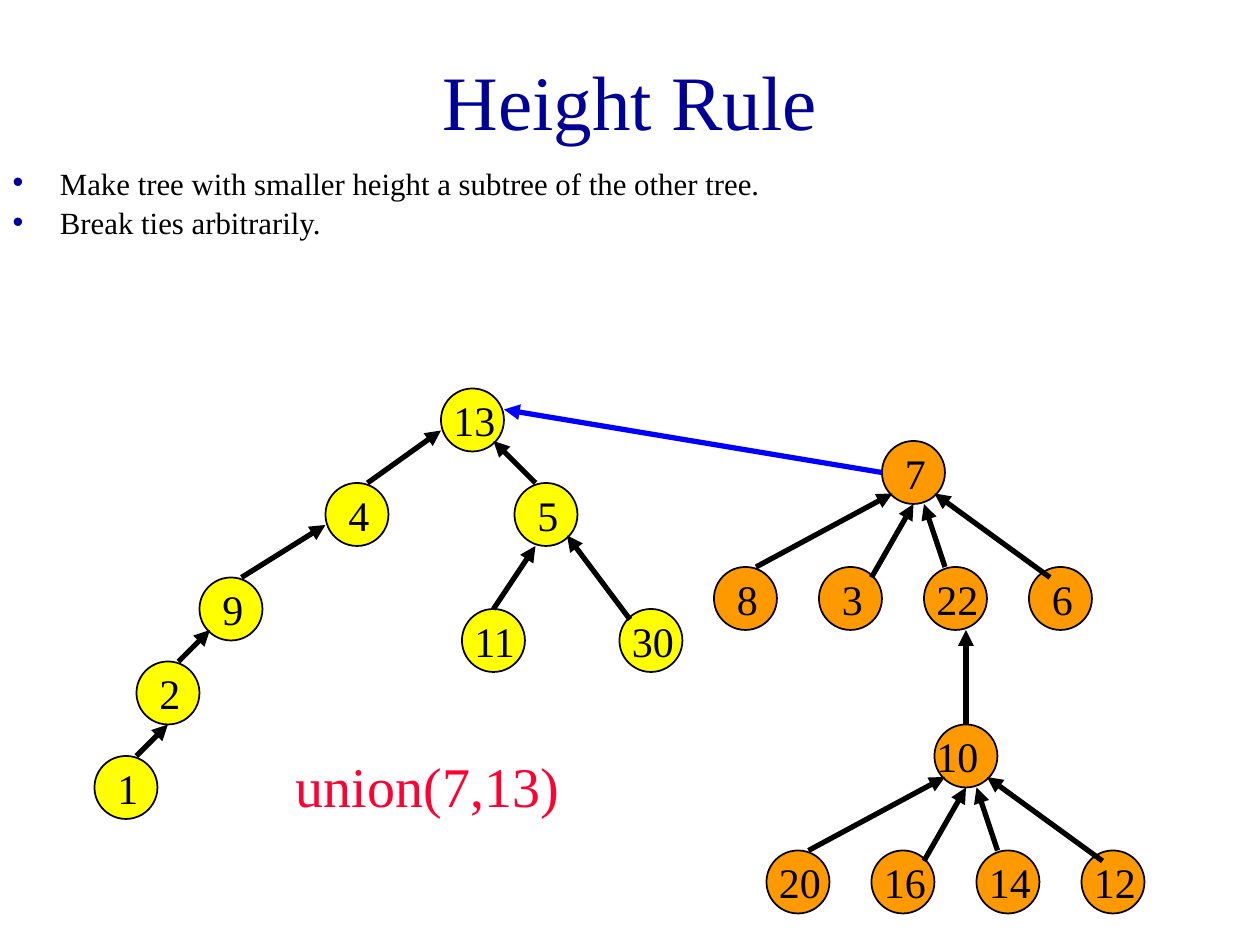
from dataclasses import dataclass

from lxml.etree import SubElement
from pptx import Presentation
from pptx.dml.color import RGBColor as RGB
from pptx.enum.shapes import MSO_CONNECTOR as CONNECTOR, MSO_SHAPE as SHAPE
from pptx.enum.text import MSO_ANCHOR as ANCHOR, MSO_AUTO_SIZE as AUTO_SIZE, PP_ALIGN as ALIGN
from pptx.oxml.ns import qn
from pptx.util import Inches, Pt

PX = Inches(1) // 96


@dataclass(frozen=True)
class Theme:
    font: str = "Times New Roman"
    navy: str = "000099"
    black: str = "000000"
    red: str = "FF0033"
    blue: str = "0000FF"
    yellow: str = "FFFF00"
    orange: str = "FF9900"
    title_size: float = 44
    rule_size: float = 17.6
    key_size: float = 24
    union_size: float = 32
    outline: float = 1
    arrow: float = 3


THEME = Theme()
NODE = 48  # circle diameter

# Left and top of each node, by key
LEFT_TREE = {13: (336, 296), 4: (248, 368), 5: (392, 368), 9: (152, 440),
             11: (352, 464), 30: (472, 464), 2: (104, 504), 1: (72, 576)}
RIGHT_ROOTS = {7: (672, 336), 10: (712, 552)}
FANS = {7: (8, 3, 22, 6), 10: (20, 16, 14, 12)}

# Parent, child, then the arrow's ends measured from each node's corner
LEFT_EDGES = [
    (13, 4, (0, 32), (32, 0)),
    (4, 9, (0, 32), (32, 0)),
    (13, 5, (40, 40), (16, 0)),
    (9, 2, (8, 40), (32, 0)),
    (5, 11, (16, 48), (24, 0)),
    (5, 30, (40, 40), (8, 8)),
    (2, 1, (24, 48), (32, 0)),
]
FAN_ENDS = [((8, 40), (32, 0)), ((24, 48), (40, 8)),
            ((32, 48), (16, 0)), ((40, 40), (16, 8))]
FAN_LEFT, FAN_STEP, FAN_DROP = -128, 80, 96


def box(*lengths):
    return [length * PX for length in lengths]


def style(paragraph, size, color):
    paragraph.font.name = THEME.font
    paragraph.font.size = Pt(size)
    paragraph.font.color.rgb = RGB.from_string(color)


def place(placeholder, bounds, anchor):
    placeholder.left, placeholder.top, placeholder.width, placeholder.height = box(*bounds)
    frame = placeholder.text_frame
    frame.auto_size = AUTO_SIZE.NONE
    frame.vertical_anchor = anchor
    return frame


def add_title(slide, text):
    frame = place(slide.shapes.title, (72, 16, 816, 120), ANCHOR.MIDDLE)
    frame.text = text
    heading = frame.paragraphs[0]
    heading.alignment = ALIGN.CENTER
    style(heading, THEME.title_size, THEME.navy)


def add_rules(slide, rules):
    frame = place(slide.placeholders[1], (0, 128, 936, 64), ANCHOR.TOP)
    frame.text = "\n".join(rules)
    for rule in frame.paragraphs:
        style(rule, THEME.rule_size, THEME.black)
        rule.line_spacing = 0.7
        rule.space_before = Pt(8)
        props = rule._p.get_or_add_pPr()
        props.set("marL", str(36 * PX))
        props.set("indent", str(-36 * PX))
        bullet_color = SubElement(props, qn("a:buClr"))
        SubElement(bullet_color, qn("a:srgbClr"), val=THEME.navy)
        SubElement(props, qn("a:buChar"), char="•")


def add_label(shapes, text, bounds, size, color):
    frame = shapes.add_textbox(*box(*bounds)).text_frame
    frame.word_wrap = True
    frame.text = text
    style(frame.paragraphs[0], size, color)


def add_node(shapes, key, corner, color):
    left, top = corner
    circle = shapes.add_shape(SHAPE.OVAL, *box(left, top, NODE, NODE))
    circle.shadow.inherit = False
    circle.fill.solid()
    circle.fill.fore_color.rgb = RGB.from_string(color)
    circle.line.color.rgb = RGB.from_string(THEME.black)
    circle.line.width = Pt(THEME.outline)
    # The key of 10 sits one step left of its circle
    shift, width = (8, 32) if key < 10 else (-8 if key == 10 else 0, 72)
    add_label(shapes, str(key), (left + shift, top, width, NODE),
              THEME.key_size, THEME.black)


def add_edge(shapes, nodes, edge, color=THEME.black):
    parent, child, parent_end, child_end = edge
    ends = [corner + offset
            for key, end in ((parent, parent_end), (child, child_end))
            for corner, offset in zip(nodes[key], end)]
    arrow = shapes.add_connector(CONNECTOR.STRAIGHT, *box(*ends))
    arrow.line.color.rgb = RGB.from_string(color)
    arrow.line.width = Pt(THEME.arrow)
    SubElement(arrow.line._get_or_add_ln(), qn("a:headEnd"), type="triangle")
    SubElement(arrow._element.spPr, qn("a:effectLst"))


def add_tree(slide, nodes, edges, color):
    shapes = slide.shapes.add_group_shape().shapes
    for key, corner in nodes.items():
        add_node(shapes, key, corner, color)
    for edge in edges:
        add_edge(shapes, nodes, edge)


def right_tree():
    nodes, edges = dict(RIGHT_ROOTS), [(22, 10, (32, 48), (24, 0))]
    for parent, children in FANS.items():
        left, top = RIGHT_ROOTS[parent]
        for column, (child, ends) in enumerate(zip(children, FAN_ENDS)):
            nodes[child] = (left + FAN_LEFT + column * FAN_STEP, top + FAN_DROP)
            edges.append((parent, child, *ends))
    return nodes, edges


def main():
    deck = Presentation()
    deck.slide_width, deck.slide_height = box(960, 720)
    slide = deck.slides.add_slide(deck.slide_layouts[1])

    # Heading and rules
    add_title(slide, "Height Rule")
    add_rules(slide, ["Make tree with smaller height a subtree of the other tree.",
                      "Break ties arbitrarily."])

    # The two trees
    right_nodes, right_edges = right_tree()
    add_tree(slide, LEFT_TREE, LEFT_EDGES, THEME.yellow)
    add_tree(slide, right_nodes, right_edges, THEME.orange)

    # The union that joins them
    add_label(slide.shapes, "union(7,13)", (216, 568, 248, 62),
              THEME.union_size, THEME.red)
    add_edge(slide.shapes, LEFT_TREE | right_nodes,
             (13, 7, (48, 16), (0, 24)), THEME.blue)

    deck.save("out.pptx")


if __name__ == "__main__":
    main()
